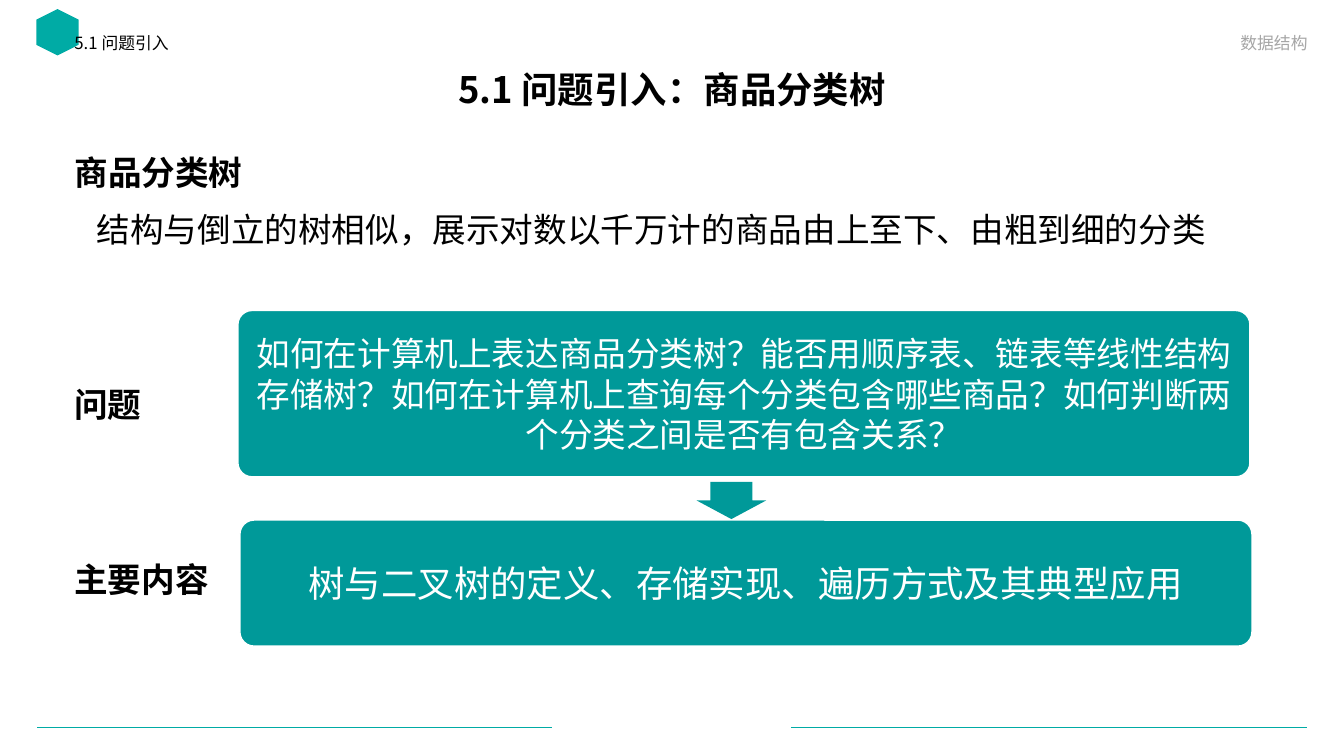
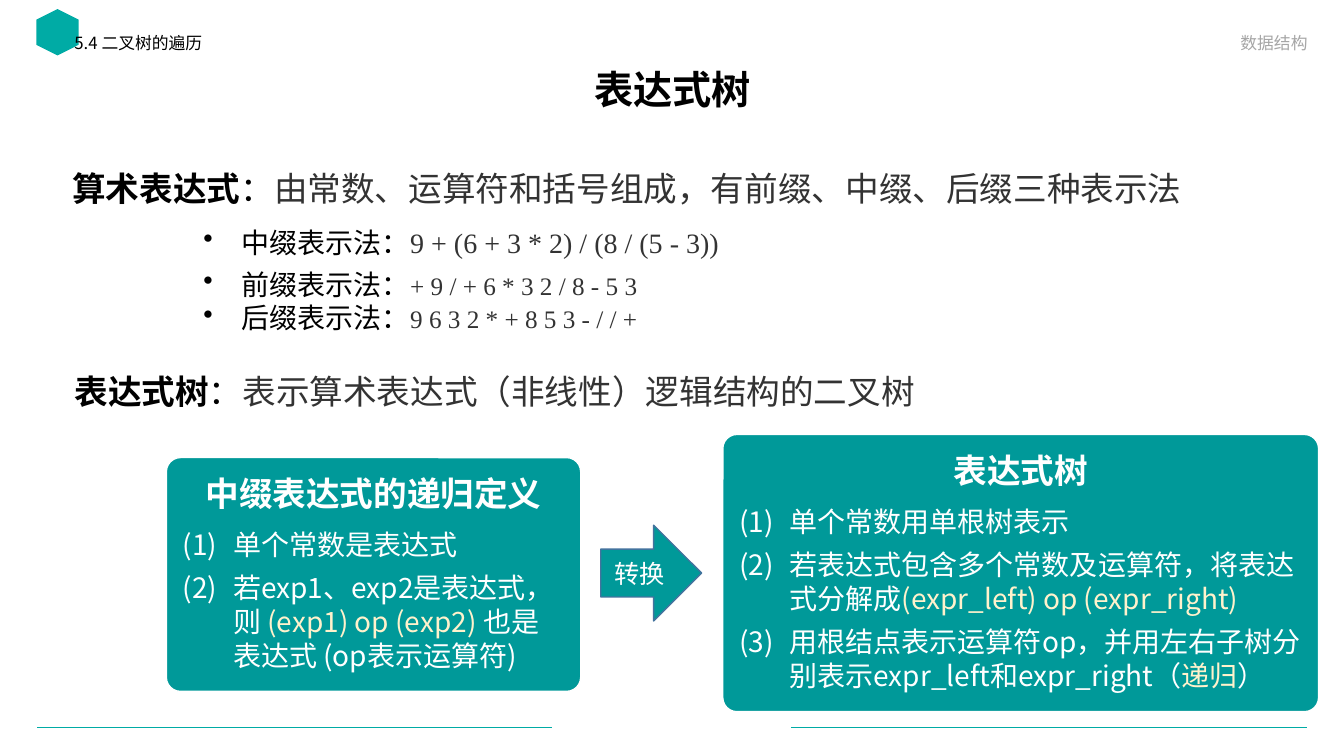
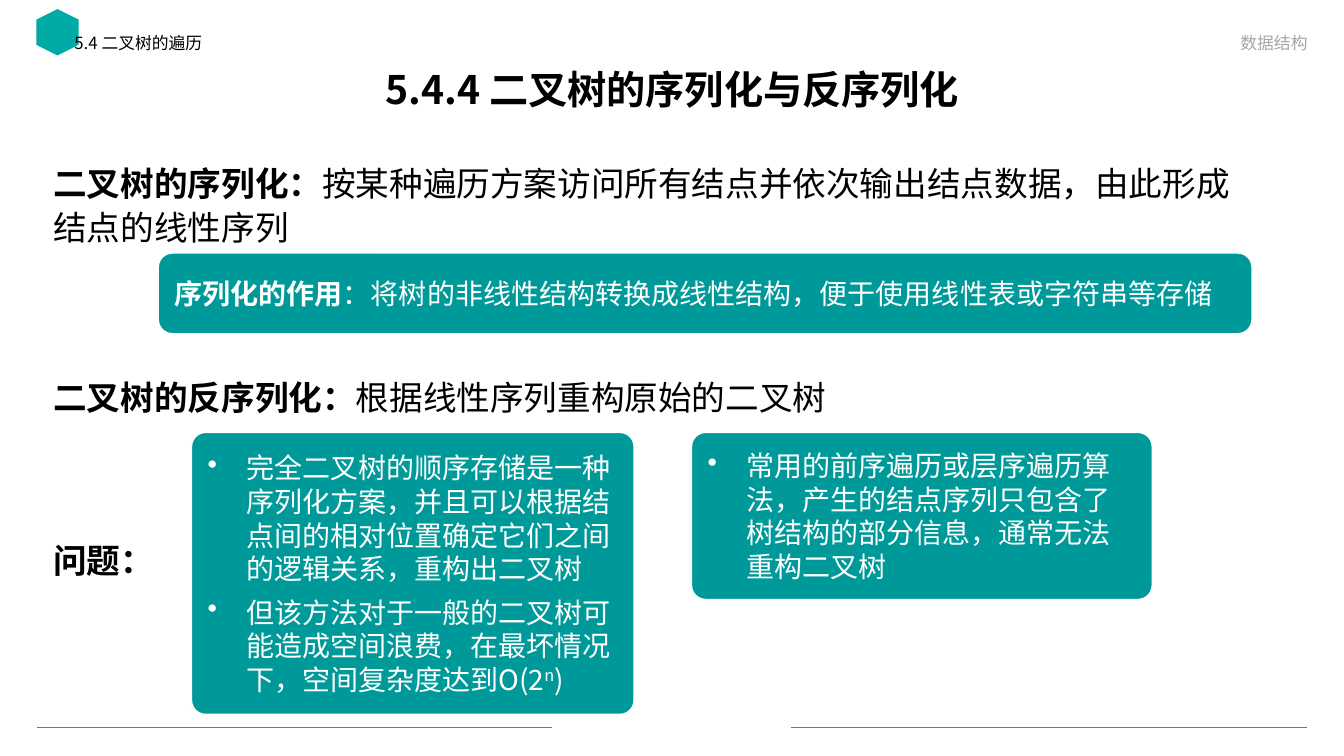
import lxml.etree
import pptx
import pptx.dml.color
import pptx.enum.shapes
import pptx.enum.text
import pptx.oxml.ns
import pptx.util

WIDTH, HEIGHT = 13.33, 7.5
SANS, LATIN, SERIF = "Noto Sans CJK SC", "Calibri", "Times New Roman"
TEAL, RULE, WHITE, BLACK = "009999", "00ABA5", "FFFFFF", "000000"
GREY, DARK, CREAM, EDGE = "A6A6A6", "333333", "FFF2CC", "43739E"
LEFT, CENTER, RIGHT = (getattr(pptx.enum.text.PP_ALIGN, name) for name in ("LEFT", "CENTER", "RIGHT"))
SHAPES = pptx.enum.shapes.MSO_SHAPE
CORNER = 0.14
DOT = ("buChar", {"char": "•"}, 0.38)
NUMBER = ("buAutoNum", {"type": "arabicParenBoth"}, 0.5)


def color(value):
    return pptx.dml.color.RGBColor.from_string(value)


def place(left, top, width, height):
    shares = ((left, WIDTH), (top, HEIGHT), (width, WIDTH), (height, HEIGHT))
    return [pptx.util.Inches(share * full / 100) for share, full in shares]


def apply(target, values):
    for name, value in values.items():
        setattr(target, name, value)


def add_node(parent, tag, values):
    node = lxml.etree.SubElement(parent, pptx.oxml.ns.qn("a:" + tag))
    for name, value in values.items():
        node.set(name, value)


def text(words, size=24, ink=BLACK, bold=False, font=SANS, raised=False):
    return {"words": words, "ink": ink, "raised": raised,
            "font": {"size": pptx.util.Pt(size), "bold": bold, "name": font}}


def line(*spans, bullet=None, indent=0, align=LEFT, pitch=None, before=0):
    values = {"alignment": align, "space_before": pptx.util.Pt(before)}
    if pitch:
        values["line_spacing"] = pptx.util.Pt(pitch)
    return {"spans": spans, "bullet": bullet, "indent": indent, "values": values}


def write_span(para, item):
    span = para.add_run()
    span.text = item["words"]
    span.font.color.rgb = color(item["ink"])
    apply(span.font, item["font"])
    properties = span.font._element
    add_node(properties, "ea", {"typeface": SANS})
    if item["raised"]:
        properties.set("baseline", "30000")


def write(shape, lines, side=0.1, edge=0.0):
    frame = shape.text_frame
    side, edge = pptx.util.Inches(side), pptx.util.Inches(edge)
    apply(frame, {"word_wrap": True, "vertical_anchor": pptx.enum.text.MSO_ANCHOR.MIDDLE,
                  "margin_left": side, "margin_right": side, "margin_top": edge, "margin_bottom": edge})
    for index, item in enumerate(lines):
        para = frame.add_paragraph() if index else frame.paragraphs[0]
        properties = para._p.get_or_add_pPr()
        if item["bullet"]:
            tag, values, hang = item["bullet"]
            add_node(properties, tag, values)
            properties.set("marL", str(pptx.util.Inches(hang)))
            properties.set("indent", str(-pptx.util.Inches(hang)))
        elif item["indent"]:
            properties.set("marL", str(pptx.util.Inches(item["indent"])))
        apply(para, item["values"])
        for span in item["spans"]:
            write_span(para, span)


def add_text(page, area, *lines):
    write(page.shapes.add_textbox(*place(*area)), lines)


def add_figure(page, kind, area, fill=TEAL, edge=None):
    shape = page.shapes.add_shape(kind, *place(*area))
    shape.shadow.inherit = False
    shape.fill.solid()
    shape.fill.fore_color.rgb = color(fill)
    if edge:
        shape.line.color.rgb = color(edge)
        shape.line.width = pptx.util.Pt(1)
    else:
        shape.line.fill.background()
    return shape


def add_card(page, area, *lines):
    card = add_figure(page, SHAPES.ROUNDED_RECTANGLE, area, edge=WHITE)
    card.adjustments[0] = pptx.util.Inches(CORNER) / min(card.width, card.height)
    write(card, lines, side=0.12)


def add_rule(page, start, end, height):
    left, top, right, bottom = place(start, height, end, height)
    rule = page.shapes.add_connector(pptx.enum.shapes.MSO_CONNECTOR.STRAIGHT, left, top, right, bottom)
    rule.line.color.rgb = color(RULE)
    rule.line.width = pptx.util.Pt(0.5)
    add_node(rule._element.spPr, "effectLst", {})


def add_page(deck, section, title, size=28):
    page = deck.slides.add_slide(deck.slide_layouts[6])
    for start, end in ((2.78, 41.1), (58.88, 97.28)):
        add_rule(page, start, end, 96.27)
    badge = add_figure(page, SHAPES.HEXAGON, (2.55, 1.47, 3.45, 5.6), fill=RULE)
    badge.rotation = 90
    add_text(page, (6.9, 8, 86.25, 7.6), line(text(title, size, bold=True), align=CENTER))
    add_text(page, (4.8, 3.27, 39.9, 4.8), line(text(section, 12)))
    add_text(page, (55.73, 3.27, 42.3, 4.8), line(text("数据结构", 12, GREY), align=RIGHT))
    return page


def add_label(page, left, top, *spans, width=90.68):
    add_text(page, (left, top, width, 6.7), line(*spans))


def card_title(words):
    return line(text(words, 24, WHITE, True), align=CENTER, pitch=26)


def card_item(bullet, before, *spans):
    return line(*spans, bullet=bullet, pitch=24, before=before)


def white(words, **options):
    return text(words, 20, WHITE, **options)


def cream(words):
    return text(words, 20, CREAM)


def notation(name, formula, size):
    return line(text(name, 20, font=LATIN), text(formula, size, DARK, font=SERIF),
                bullet=DOT, pitch=24)


def build_introduction(deck):
    page = add_page(deck, "5.1 问题引入", "5.1 问题引入：商品分类树", 26)
    add_text(page, (4.8, 19.33, 90.68, 14),
             line(text("商品分类树", bold=True), pitch=31),
             line(text("结构与倒立的树相似，展示对数以千万计的商品由上至下、由粗到细的分类"),
                  indent=0.22, pitch=31, before=10))
    for top, label in ((50.1, "问题"), (73.2, "主要内容")):
        add_label(page, 4.8, top, text(label, bold=True), width=12.5)
    add_card(page, (17.7, 41.07, 75.3, 22),
             line(text("如何在计算机上表达商品分类树？能否用顺序表、链表等线性结构存储树？"
                       "如何在计算机上查询每个分类包含哪些商品？如何判断两个分类之间是否有包含关系？",
                       ink=WHITE), align=CENTER, pitch=29))
    arrow = add_figure(page, SHAPES.DOWN_ARROW, (51.83, 63.73, 5.18, 4.93))
    arrow.adjustments[0] = 0.6
    add_card(page, (17.85, 68.8, 75.3, 16.67),
             line(text("树与二叉树的定义、存储实现、遍历方式及其典型应用", 26, WHITE), align=CENTER))


def build_expression_tree(deck):
    page = add_page(deck, "5.4 二叉树的遍历", "表达式树")
    for left, top, term, meaning in (
            (4.65, 21.5, "算术表达式", "由常数、运算符和括号组成，有前缀、中缀、后缀三种表示法"),
            (4.8, 48.35, "表达式树", "表示算术表达式（非线性）逻辑结构的二叉树")):
        add_label(page, left, top, text(term, bold=True), text("："), text(meaning, ink=DARK))
    add_text(page, (14.4, 29.07, 40.58, 5.87),
             notation("中缀表示法：", "9 + (6 + 3 * 2) / (8 / (5 - 3))", 20))
    add_text(page, (14.4, 34.67, 40.58, 10.27),
             notation("前缀表示法：", "+ 9 / + 6 * 3 2 / 8 - 5 3", 18),
             notation("后缀表示法：", "9 6 3 2 * + 8 5 3 - / / +", 18))
    add_card(page, (12.38, 60.53, 30.83, 30.93),
             card_title("中缀表达式的递归定义"),
             card_item(NUMBER, 10, white("单个常数是表达式")),
             card_item(NUMBER, 7, white("若exp1、exp2是表达式，则 "), cream("(exp1) op (exp2) "),
                       white("也是表达式 (op表示运算符)")))
    add_card(page, (53.78, 57.47, 44.33, 36.67),
             card_title("表达式树"),
             card_item(NUMBER, 10, white("单个常数用单根树表示")),
             card_item(NUMBER, 7, white("若表达式包含多个常数及运算符，将表达式分解成"),
                       cream("(expr_left) op (expr_right)")),
             card_item(NUMBER, 7, white("用根结点表示运算符op，并用左右子树分别表示expr_left和expr_right（"),
                       cream("递归"), white("）")))
    arrow = add_figure(page, SHAPES.RIGHT_ARROW, (44.7, 69.47, 7.5, 12.67), edge=EDGE)
    write(arrow, [line(text("转换", 18, WHITE), align=CENTER)], side=0.05)


def build_serialization(deck):
    page = add_page(deck, "5.4 二叉树的遍历", "5.4.4 二叉树的序列化与反序列化")
    add_text(page, (3.23, 19.93, 90.68, 14),
             line(text("二叉树的序列化：", bold=True),
                  text("按某种遍历方案访问所有结点并依次输出结点数据，由此形成结点的线性序列"), pitch=31))
    add_label(page, 3.23, 49.15, text("二叉树的反序列化：", bold=True),
              text("根据线性序列重构原始的二叉树"))
    add_label(page, 3.23, 70.7, text("问题：", bold=True), width=11)
    add_card(page, (11.78, 33.47, 81.38, 10.67),
             line(white("序列化的作用", bold=True),
                  white("：将树的非线性结构转换成线性结构，便于使用线性表或字符串等存储")))
    add_card(page, (14.25, 57.2, 32.93, 37.3),
             card_item(DOT, 0, white("完全二叉树的顺序存储是一种序列化方案，并且可以根据结点间的"
                                     "相对位置确定它们之间的逻辑关系，重构出二叉树")),
             card_item(DOT, 7, white("但该方法对于一般的二叉树可能造成空间浪费，在最坏情况下，空间复杂度达到O(2"),
                       white("n", raised=True), white(")")))
    add_card(page, (51.45, 57.2, 34.28, 22.1),
             card_item(DOT, 0, white("常用的前序遍历或层序遍历算法，产生的结点序列只包含了"
                                     "树结构的部分信息，通常无法重构二叉树")))


def main():
    deck = pptx.Presentation()
    apply(deck, {"slide_width": pptx.util.Inches(WIDTH), "slide_height": pptx.util.Inches(HEIGHT)})
    build_introduction(deck)
    build_expression_tree(deck)
    build_serialization(deck)
    deck.save("out.pptx")


if __name__ == "__main__":
    main()
